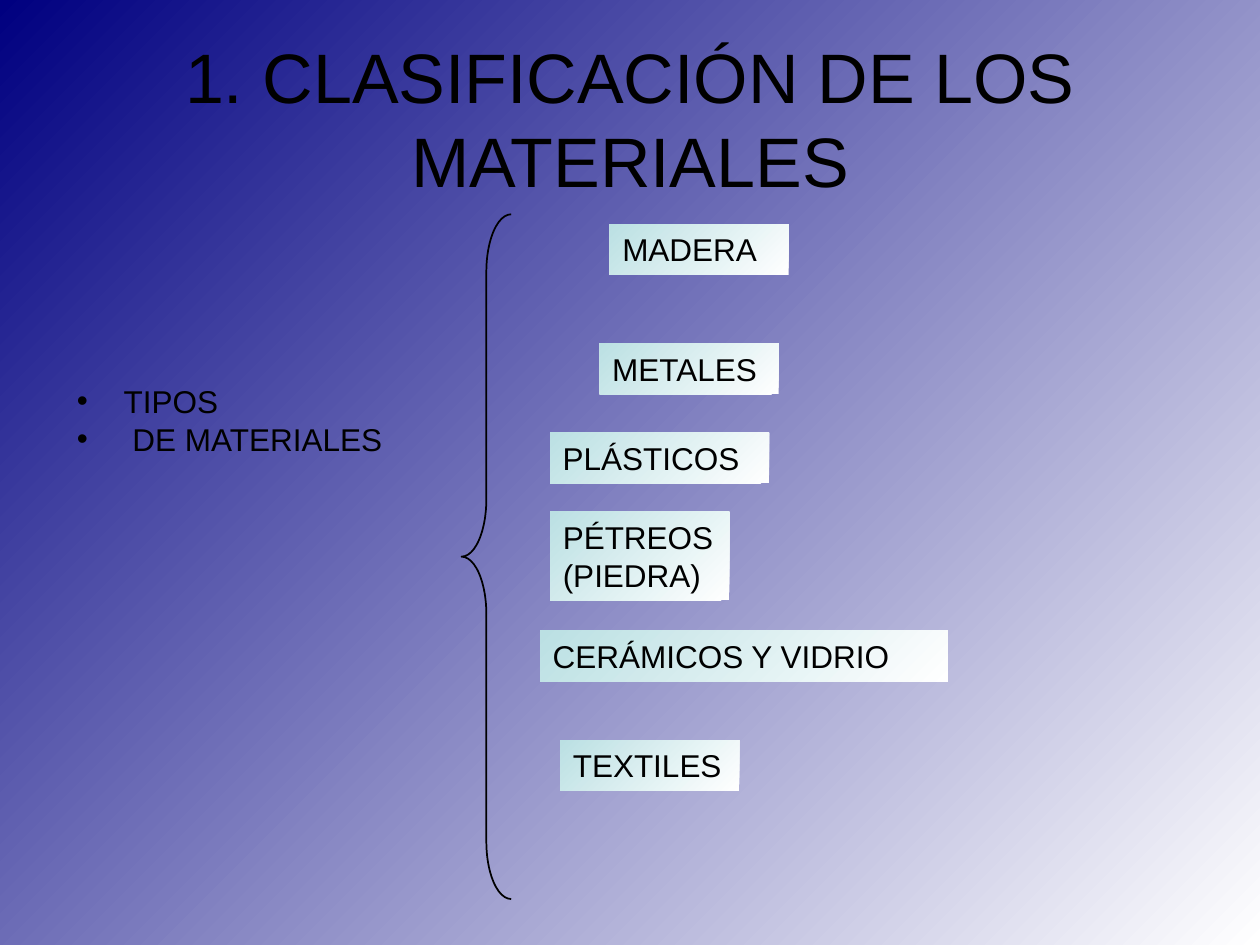
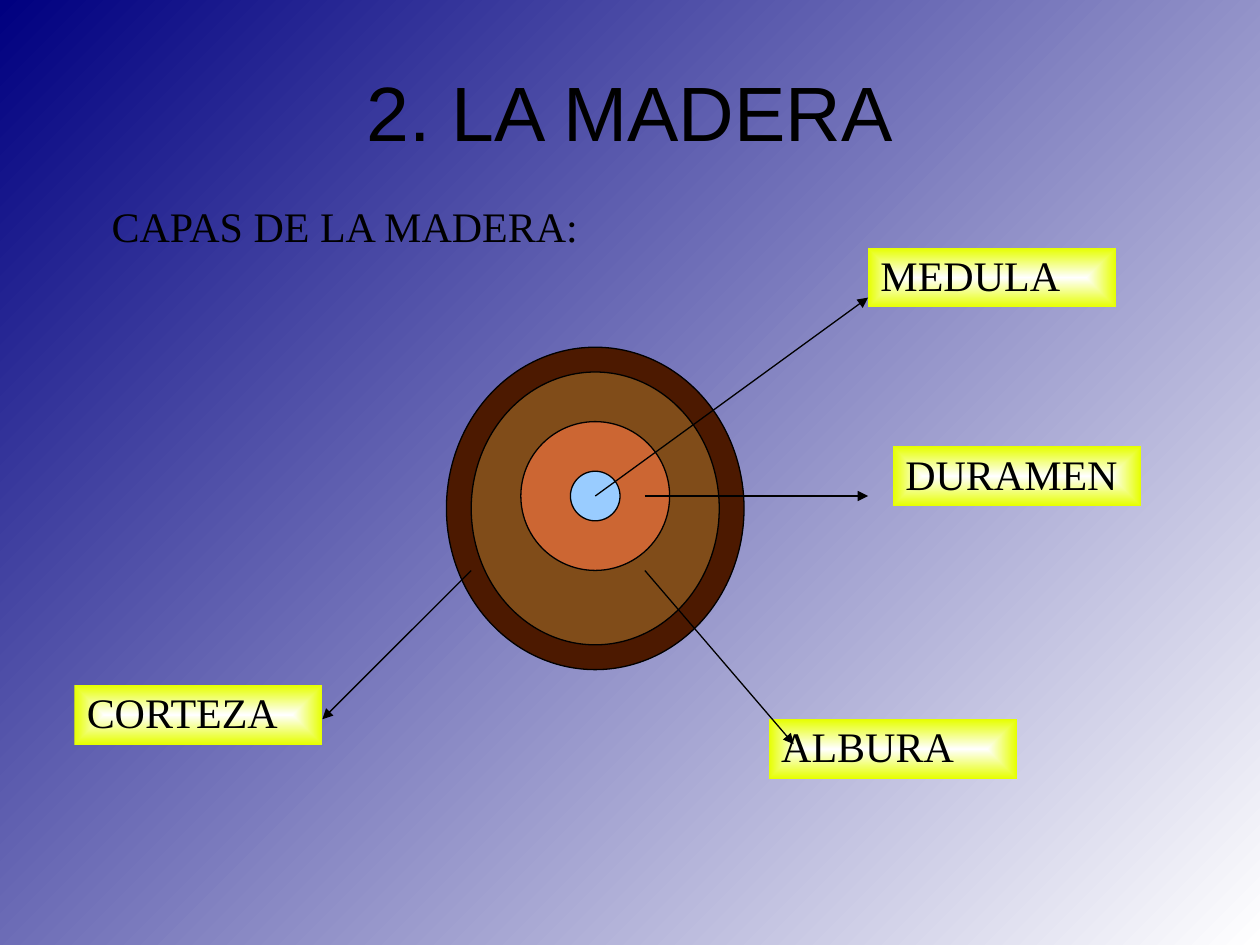
"""Builds two slides on the classes of materials and the layers of wood."""
from typing import NamedTuple

from lxml.etree import SubElement
from pptx import Presentation
from pptx.dml.color import RGBColor
from pptx.dml.fill import FillFormat
from pptx.enum.shapes import MSO_CONNECTOR, MSO_SHAPE
from pptx.enum.text import MSO_ANCHOR, MSO_AUTO_SIZE, PP_ALIGN
from pptx.oxml.ns import qn
from pptx.shapes.autoshape import Shape
from pptx.slide import Slide
from pptx.text.text import TextFrame, _Paragraph
from pptx.util import Pt

BLACK = RGBColor(0x00, 0x00, 0x00)
WHITE = RGBColor(0xFF, 0xFF, 0xFF)
NAVY = RGBColor(0x00, 0x00, 0x80)
AQUA = RGBColor(0xBB, 0xE0, 0xE3)
LIME = RGBColor(0xE6, 0xFF, 0x00)
BARK = RGBColor(0x4C, 0x19, 0x00)
SAPWOOD = RGBColor(0x80, 0x4C, 0x19)
HEARTWOOD = RGBColor(0xCC, 0x66, 0x33)
PITH = RGBColor(0x99, 0xCC, 0xFF)

SANS = "Arial"
SERIF = "Times New Roman"
TIGHT = 0.93
TRUNK_X = 340.16
LAYER_LABEL_WIDTH = 141.73
LAYER_LABEL_HEIGHT = 34


class Box(NamedTuple):
    """A frame in points."""
    left: float
    top: float
    width: float
    height: float


class Material(NamedTuple):
    """A class of materials and the frame of its label."""
    name: str
    box: Box


class Ring(NamedTuple):
    """A ring of the trunk, centred on the trunk axis."""
    centre_y: float
    width: float
    height: float
    colour: RGBColor


class Layer(NamedTuple):
    """A wood layer, the corner of its label and the ends of its arrow."""
    name: str
    left: float
    top: float
    start: tuple[float, float]
    tip: tuple[float, float]


MATERIALS = [
    Material("MADERA", Box(348.5, 128, 102.25, 29)),
    Material("METALES", Box(342.75, 196.25, 102.25, 29)),
    Material("PLÁSTICOS", Box(314.5, 247.25, 125, 29)),
    Material("PÉTREOS (PIEDRA)", Box(314.5, 292.5, 102.25, 50.5)),
    Material("CERÁMICOS Y VIDRIO", Box(308.75, 360.5, 233, 29)),
    Material("TEXTILES", Box(320.25, 423, 102.25, 29)),
]

RINGS = [
    Ring(290.55, 170.08, 184.25, BARK),
    Ring(290.55, 141.73, 155.91, SAPWOOD),
    Ring(283.46, 85.04, 85.04, HEARTWOOD),
    Ring(283.46, 28.35, 28.35, PITH),
]

LAYERS = [
    Layer("MEDULA", 496.06, 141.73, (TRUNK_X, 283.46), (496.06, 170.08)),
    Layer("DURAMEN", 510.24, 255.12, (368.5, 283.46), (496.06, 283.46)),
    Layer("ALBURA", 439.37, 411.02, (368.5, 326), (453.54, 425.2)),
    Layer("CORTEZA", 42.52, 391.5, (269.29, 326), (184.25, 411.02)),
]


def place(shape: Shape, box: Box) -> None:
    """Move and size a placeholder."""
    shape.left, shape.top, shape.width, shape.height = map(Pt, box)


def set_gradient(fill: FillFormat, first: RGBColor, last: RGBColor, angle: float) -> None:
    """Apply a linear gradient of two colours."""
    fill.gradient()
    fill.gradient_angle = angle
    for stop, colour, position in zip(fill.gradient_stops, (first, last), (0, 1)):
        stop.color.rgb = colour
        stop.position = position


def make_rectangular(shape: Shape) -> None:
    """Turn the linear gradient of a shape into one that grows from its centre."""
    gradient = shape._element.spPr.find(qn("a:gradFill"))
    gradient.remove(gradient.find(qn("a:lin")))
    spread = SubElement(gradient, qn("a:path"), path="rect")
    SubElement(spread, qn("a:fillToRect"), dict.fromkeys("ltrb", "50000"))


def write(paragraph: _Paragraph, text: str, size: float, font: str,
          align: PP_ALIGN = PP_ALIGN.LEFT, spacing: float = 1.0) -> None:
    """Add one formatted run to a paragraph."""
    paragraph.alignment = align
    paragraph.line_spacing = spacing
    paragraph.space_before = Pt(0)
    run = paragraph.add_run()
    run.text = text
    run.font.size = Pt(size)
    run.font.name = font
    run.font.color.rgb = BLACK


def set_frame(frame: TextFrame, anchor: MSO_ANCHOR = MSO_ANCHOR.TOP, padded: bool = True,
              fit: MSO_AUTO_SIZE = MSO_AUTO_SIZE.NONE) -> None:
    """Set wrapping, anchor, insets and fitting of a text frame."""
    frame.word_wrap = True
    frame.auto_size = fit
    frame.vertical_anchor = anchor
    frame.margin_left = frame.margin_right = Pt(7.2 if padded else 0)
    frame.margin_top = frame.margin_bottom = Pt(3.6 if padded else 0)


def add_title(slide: Slide, text: str, box: Box, size: float,
              spacing: float = 1.0, padded: bool = True) -> None:
    """Fill the title placeholder."""
    title = slide.shapes.title
    place(title, box)
    set_frame(title.text_frame, MSO_ANCHOR.MIDDLE, padded)
    write(title.text_frame.paragraphs[0], text, size, SANS, PP_ALIGN.CENTER, spacing)


def add_plain_shape(slide: Slide, kind: MSO_SHAPE, box: Box) -> Shape:
    """Add a preset shape without shadow."""
    shape = slide.shapes.add_shape(kind, *map(Pt, box))
    shape.shadow.inherit = False
    return shape


def add_label(slide: Slide, text: str, box: Box, tint: RGBColor, size: float, font: str,
              spacing: float = 1.0, fit: MSO_AUTO_SIZE = MSO_AUTO_SIZE.NONE) -> Shape:
    """Add a gradient label that fades to white."""
    label = add_plain_shape(slide, MSO_SHAPE.RECTANGLE, box)
    set_gradient(label.fill, WHITE, tint, 135)
    label.line.fill.background()
    set_frame(label.text_frame, fit=fit)
    write(label.text_frame.paragraphs[0], text, size, font, spacing=spacing)
    return label


def add_ring(slide: Slide, ring: Ring) -> None:
    """Add one ring of the trunk."""
    box = Box(TRUNK_X - ring.width / 2, ring.centre_y - ring.height / 2, ring.width, ring.height)
    disc = add_plain_shape(slide, MSO_SHAPE.OVAL, box)
    disc.fill.solid()
    disc.fill.fore_color.rgb = ring.colour
    disc.line.color.rgb = BLACK
    disc.line.width = Pt(0.75)


def add_arrow(slide: Slide, start: tuple[float, float], tip: tuple[float, float]) -> None:
    """Add a straight arrow."""
    arrow = slide.shapes.add_connector(MSO_CONNECTOR.STRAIGHT, *map(Pt, start + tip))
    arrow.line.color.rgb = BLACK
    arrow.line.width = Pt(0.75)
    SubElement(arrow.line._get_or_add_ln(), qn("a:tailEnd"), type="triangle")
    SubElement(arrow._element.spPr, qn("a:effectLst"))


def build_materials(slide: Slide) -> None:
    """Build the slide with the classes of materials."""
    add_title(slide, "1. CLASIFICACIÓN DE LOS MATERIALES", Box(36, 15, 648, 103.75), 40)
    topic = slide.placeholders[1]
    place(topic, Box(36.75, 219, 203.75, 47.5))
    set_frame(topic.text_frame)
    topic.text_frame.add_paragraph()
    for paragraph, text in zip(topic.text_frame.paragraphs, ("TIPOS", " DE MATERIALES")):
        properties = paragraph._p.get_or_add_pPr()
        properties.set("marL", str(Pt(26.75)))
        properties.set("indent", str(-Pt(26.75)))
        write(paragraph, text, 18, SANS, spacing=0.8)
    paragraph.space_before = Pt(4.5)

    brace = add_plain_shape(slide, MSO_SHAPE.LEFT_BRACE, Box(263.75, 122.5, 28.35, 391.25))
    brace.adjustments[0] = 1.16
    brace.fill.background()
    brace.line.color.rgb = BLACK
    brace.line.width = Pt(1)
    for material in MATERIALS:
        add_label(slide, material.name, material.box, AQUA, 18, SANS,
                  fit=MSO_AUTO_SIZE.SHAPE_TO_FIT_TEXT)


def build_wood(slide: Slide) -> None:
    """Build the slide with the layers of wood."""
    add_title(slide, "2. LA MADERA", Box(36, 25, 648, 82.75), 44, TIGHT, padded=False)
    for ring in RINGS:
        add_ring(slide, ring)
    for layer in LAYERS:
        box = Box(layer.left, layer.top, LAYER_LABEL_WIDTH, LAYER_LABEL_HEIGHT)
        make_rectangular(add_label(slide, layer.name, box, LIME, 24, SERIF, TIGHT))
        add_arrow(slide, layer.start, layer.tip)
    caption = slide.shapes.add_textbox(*map(Pt, Box(56.7, 113.4, 340.16, 34)))
    set_frame(caption.text_frame)
    write(caption.text_frame.paragraphs[0], "CAPAS DE LA MADERA:", 24, SERIF, spacing=TIGHT)


def main() -> None:
    """Build and save the presentation."""
    deck = Presentation()
    deck.slide_width, deck.slide_height = Pt(720), Pt(540)
    set_gradient(deck.slide_master.background.fill, NAVY, WHITE, 315)
    build_materials(deck.slides.add_slide(deck.slide_layouts[1]))
    build_wood(deck.slides.add_slide(deck.slide_layouts[5]))
    deck.save("out.pptx")


if __name__ == "__main__":
    main()
